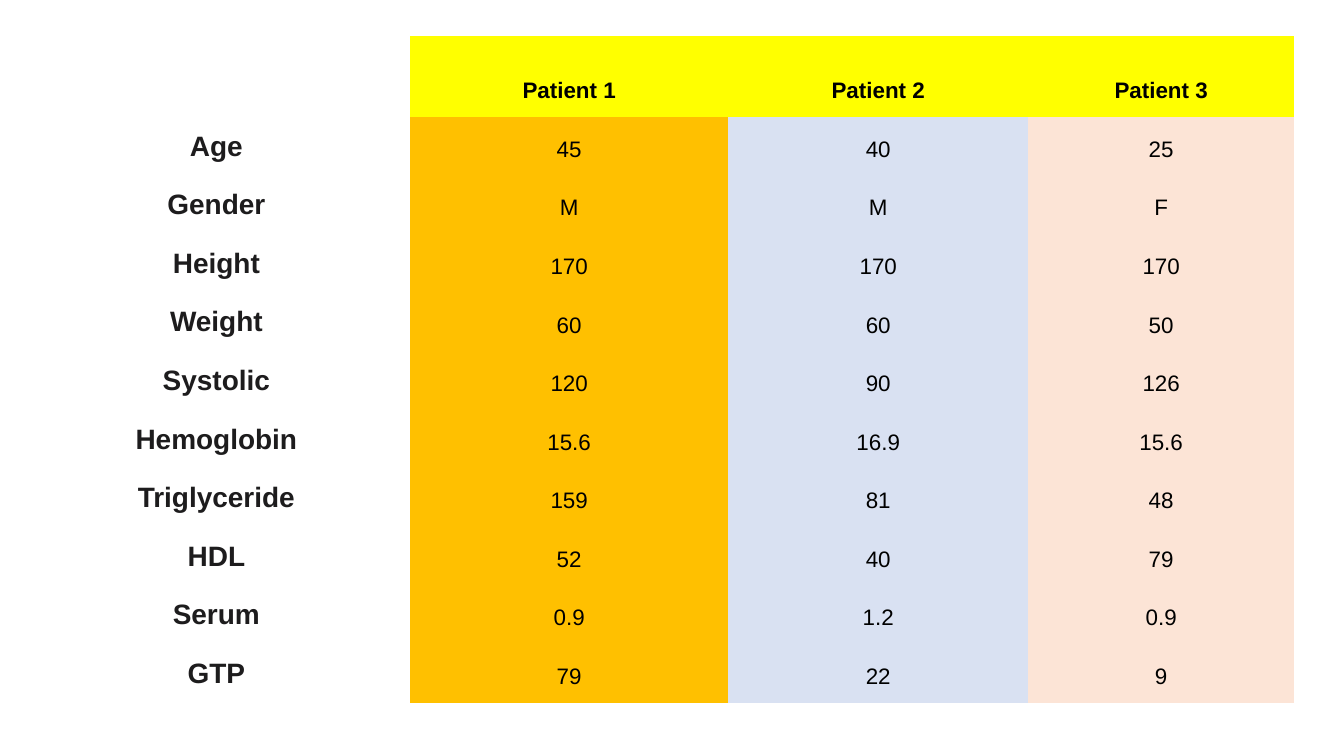
import pptx
import pptx.dml.color
import pptx.enum.text
import pptx.oxml.ns
import pptx.util

Inches = pptx.util.Inches

COLORS = {
    "text": "000000",
    "label": "1D1C1D",
    "header": "FFFF00",
    "patient 1": "FFC000",
    "patient 2": "D9E1F2",
    "patient 3": "FCE4D6",
}
COLUMN_FILLS = [None, "patient 1", "patient 2", "patient 3"]
COLUMN_WIDTHS = [2.88, 2.37, 2.23, 1.98]
TABLE_HEIGHT = 4.96
HEADER_HEIGHT = 0.6
NO_STYLE_NO_GRID = "{2D5ABB26-0587-4C30-8999-92F81FD0307C}"

ROWS = [
    ("", "Patient 1", "Patient 2", "Patient 3"),
    ("Age", "45", "40", "25"),
    ("Gender", "M", "M", "F"),
    ("Height", "170", "170", "170"),
    ("Weight", "60", "60", "50"),
    ("Systolic", "120", "90", "126"),
    ("Hemoglobin", "15.6", "16.9", "15.6"),
    ("Triglyceride", "159", "81", "48"),
    ("HDL", "52", "40", "79"),
    ("Serum", "0.9", "1.2", "0.9"),
    ("GTP", "79", "22", "9"),
]


class SlideBuilder:
    font_name = "Arial"
    label_size = 15
    value_size = 12

    def __init__(self, slide):
        self.slide = slide

    def color(self, name):
        return pptx.dml.color.RGBColor.from_string(COLORS[name])

    def add_patient_table(self, left, top):
        row_height = (TABLE_HEIGHT - HEADER_HEIGHT) / (len(ROWS) - 1)
        frame = self.slide.shapes.add_table(
            len(ROWS), len(COLUMN_WIDTHS), Inches(left), Inches(top),
            Inches(sum(COLUMN_WIDTHS)), Inches(TABLE_HEIGHT))
        table = frame.table
        table.first_row = table.horz_banding = False
        table._tbl.tblPr.find(pptx.oxml.ns.qn("a:tableStyleId")).text = NO_STYLE_NO_GRID

        for column, width in zip(table.columns, COLUMN_WIDTHS):
            column.width = Inches(width)
        for row_index, texts in enumerate(ROWS):
            is_header = row_index == 0
            table.rows[row_index].height = Inches(HEADER_HEIGHT if is_header else row_height)
            for column_index, text in enumerate(texts):
                is_label = column_index == 0
                fill = "header" if is_header and not is_label else COLUMN_FILLS[column_index]
                self.fill_cell(table.cell(row_index, column_index), text, fill,
                               is_label, bold=is_header or is_label)

    def fill_cell(self, cell, text, fill, is_label, bold):
        cell.margin_left = cell.margin_right = cell.margin_top = Inches(0.01)
        cell.margin_bottom = Inches(0.1)
        cell.vertical_anchor = pptx.enum.text.MSO_ANCHOR.BOTTOM
        if fill:
            cell.fill.solid()
            cell.fill.fore_color.rgb = self.color(fill)
        else:
            cell.fill.background()

        paragraph = cell.text_frame.paragraphs[0]
        paragraph.text = text
        paragraph.alignment = pptx.enum.text.PP_ALIGN.CENTER
        paragraph.line_spacing = 1.15
        font = paragraph.font
        font.name = self.font_name
        font.size = pptx.util.Pt(self.label_size if is_label else self.value_size)
        font.bold = bold
        font.color.rgb = self.color("label" if is_label else "text")


def main():
    presentation = pptx.Presentation()
    presentation.slide_width = Inches(10)
    presentation.slide_height = presentation.slide_width * 9 // 16
    slide = presentation.slides.add_slide(presentation.slide_layouts[6])
    SlideBuilder(slide).add_patient_table(left=0.17, top=0.27)
    presentation.save("out.pptx")


if __name__ == "__main__":
    main()
